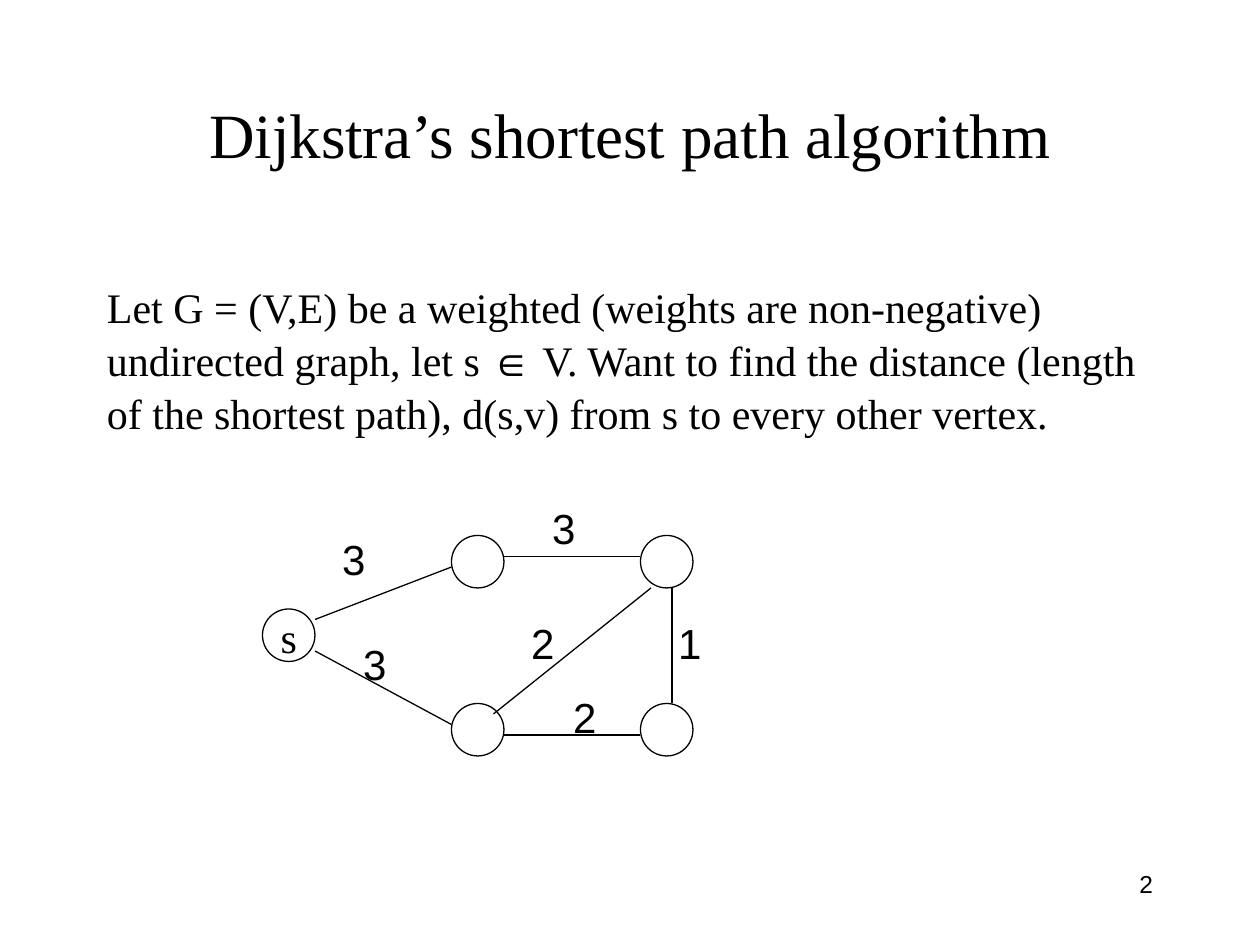
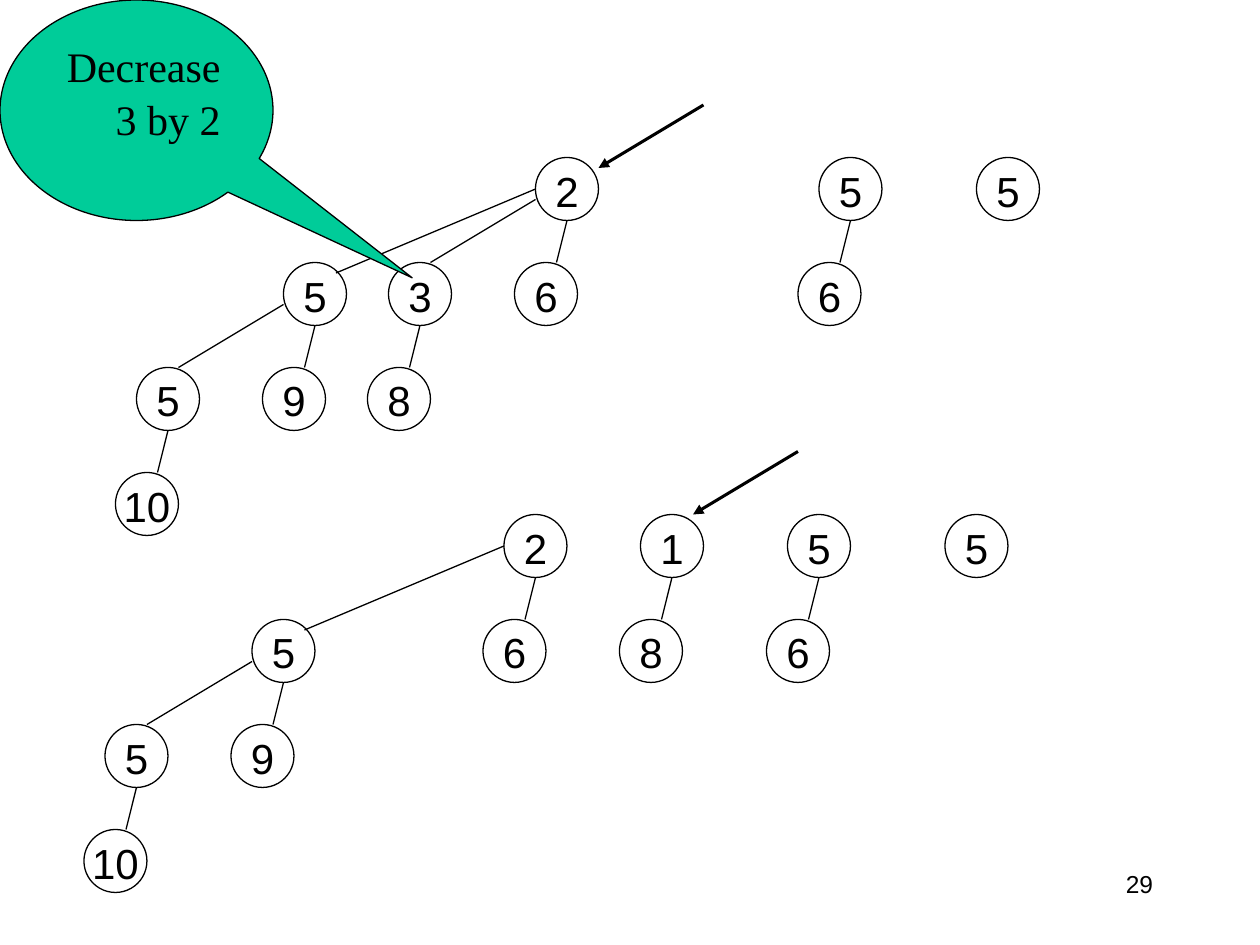
from lxml.etree import SubElement
from pptx import Presentation
from pptx.dml.color import RGBColor
from pptx.enum.shapes import MSO_CONNECTOR as Connector, MSO_SHAPE as Shape
from pptx.enum.text import MSO_ANCHOR as Anchor, PP_ALIGN as Align
from pptx.oxml.ns import qn
from pptx.util import Emu, Pt

COLORS = {"ink": "000000", "paper": "FFFFFF", "callout": "00CC99"}
SERIF, SANS = "Times New Roman", "Arial"
PX = 9525
SLIDE_SIZE = (960, 720)
NUMBER_BOX = (688, 656, 200, 48)

TITLE = "Dijkstra’s shortest path algorithm"
TITLE_BOX = (72, 40, 816, 120)
INTRO = [
    ("Let G = (V,E) be a weighted (weights are non-negative) undirected graph, let s ", SERIF),
    ("∈", SANS),
    (" V. Want to find the distance (length of the shortest path), d(s,v) "
     "from s to every other vertex.", SERIF),
]
INTRO_BOX = (72, 208, 832, 125)

VERTEX = 40
VERTICES = [("s", 200, 464), ("", 344, 408), ("", 344, 536), ("", 488, 536), ("", 488, 408)]
EDGES = [
    ((240, 472), (344, 432)),
    ((240, 496), (344, 552)),
    ((384, 560), (488, 560)),
    ((376, 544), (496, 448)),
    ((512, 536), (512, 448)),
    ((384, 424), (488, 424)),
]
WEIGHT_SIZE = (40, 48)
WEIGHTS = [("3", 248, 400), ("3", 264, 480), ("2", 392, 464),
           ("3", 408, 376), ("2", 424, 520), ("1", 504, 464)]

HEAP_NODE, LEVEL = 48, 80
BRANCHES = {
    "below": {"shift": -16, "start": (24, 48), "end": (32, 0)},
    "side": {"shift": -112, "start": (0, 32), "end": (32, 0)},
    "far": {"shift": -192, "start": (0, 24), "end": (40, 8)},
}
PAIR_5_6 = ("5", [("below", ("6", []))])
FIVE_SUBTREE = ("5", [
    ("below", ("9", [])),
    ("side", ("5", [("below", ("10", []))])),
])
HEAPS = [
    {
        "top": 120,
        "roots": [
            (744, ("5", [])),
            (624, PAIR_5_6),
            (408, ("2", [
                ("below", ("6", [])),
                ("side", ("3", [("below", ("8", []))])),
                ("far", FIVE_SUBTREE),
            ])),
        ],
        "minimum": ((536, 80), (456, 128)),
    },
    {
        "top": 392,
        "roots": [
            (720, ("5", [])),
            (600, PAIR_5_6),
            (384, ("2", [("below", ("6", [])), ("far", FIVE_SUBTREE)])),
            (488, ("1", [("below", ("8", []))])),
        ],
        "minimum": ((608, 344), (528, 392)),
    },
]
CALLOUT = "Decrease 3 by 2"
CALLOUT_BOX = (0, 0, 208, 168)
CALLOUT_TIP = (1.01, 0.76)


def scaled(lengths):
    return [Emu(length * PX) for length in lengths]


def color(name):
    return RGBColor.from_string(COLORS[name])


def write(shape, spans, size=24, align=Align.LEFT, anchor=Anchor.TOP, wrap=True, rtl=False):
    frame = shape.text_frame
    frame.word_wrap = wrap
    frame.vertical_anchor = anchor
    para = frame.paragraphs[0]
    para.alignment = align
    para.line_spacing = 1.05
    if rtl:
        para._p.get_or_add_pPr().set("rtl", "1")
    for text, font in spans:
        span = para.add_run()
        span.text = text
        span.font.name = font
        span.font.size = Pt(size)
        span.font.color.rgb = color("ink")
        if rtl:
            SubElement(span._r.get_or_add_rPr(), qn("a:cs"), typeface=SANS)


def add_text(page, place, spans, **style):
    write(page.shapes.add_textbox(*scaled(place)), spans, **style)


def add_outlined(page, kind, place, fill=None):
    shape = page.shapes.add_shape(kind, *scaled(place))
    shape.shadow.inherit = False
    if fill:
        shape.fill.solid()
        shape.fill.fore_color.rgb = color(fill)
    else:
        shape.fill.background()
    shape.line.color.rgb = color("ink")
    shape.line.width = Pt(0.75)
    return shape


def add_node(page, label, x, y, size):
    node = add_outlined(page, Shape.OVAL, (x, y, size, size))
    if label:
        write(node, [(label, SERIF)], align=Align.CENTER, anchor=Anchor.MIDDLE,
              wrap=False, rtl=True)


def add_line(page, start, end, width=0.75, arrow=False):
    line = page.shapes.add_connector(Connector.STRAIGHT, *scaled(start + end))
    line.line.color.rgb = color("ink")
    line.line.width = Pt(width)
    if arrow:
        SubElement(line.line._get_or_add_ln(), qn("a:tailEnd"), type="triangle")
    SubElement(line._element.spPr, qn("a:effectLst"))


def add_tree(page, tree, x, y):
    label, children = tree
    add_node(page, label, x, y, HEAP_NODE)
    for kind, child in children:
        branch = BRANCHES[kind]
        child_x, child_y = x + branch["shift"], y + LEVEL
        (start_x, start_y), (end_x, end_y) = branch["start"], branch["end"]
        add_tree(page, child, child_x, child_y)
        add_line(page, (x + start_x, y + start_y), (child_x + end_x, child_y + end_y))


def add_page(deck, number):
    page = deck.slides.add_slide(deck.slide_layouts[6])
    page.background.fill.solid()
    page.background.fill.fore_color.rgb = color("paper")
    add_text(page, NUMBER_BOX, [(number, SERIF)], size=14, align=Align.RIGHT, rtl=True)
    return page


def build_graph_page(deck):
    page = add_page(deck, "2")
    add_text(page, TITLE_BOX, [(TITLE, SERIF)], size=36, align=Align.CENTER,
             anchor=Anchor.MIDDLE)
    add_text(page, INTRO_BOX, INTRO)
    for label, x, y in VERTICES:
        add_node(page, label, x, y, VERTEX)
    for start, end in EDGES:
        add_line(page, start, end)
    for weight, x, y in WEIGHTS:
        add_text(page, (x, y) + WEIGHT_SIZE, [(weight, SERIF)], align=Align.RIGHT, rtl=True)


def build_heap_page(deck):
    page = add_page(deck, "29")
    for heap in HEAPS:
        for x, tree in heap["roots"]:
            add_tree(page, tree, x, heap["top"])
        add_line(page, *heap["minimum"], width=1.75, arrow=True)
    callout = add_outlined(page, Shape.OVAL_CALLOUT, CALLOUT_BOX, "callout")
    for index, offset in enumerate(CALLOUT_TIP):
        callout.adjustments[index] = offset
    write(callout, [(CALLOUT, SERIF)], align=Align.RIGHT, rtl=True)


def main():
    deck = Presentation()
    deck.slide_width, deck.slide_height = scaled(SLIDE_SIZE)
    build_graph_page(deck)
    build_heap_page(deck)
    deck.save("out.pptx")


if __name__ == "__main__":
    main()
